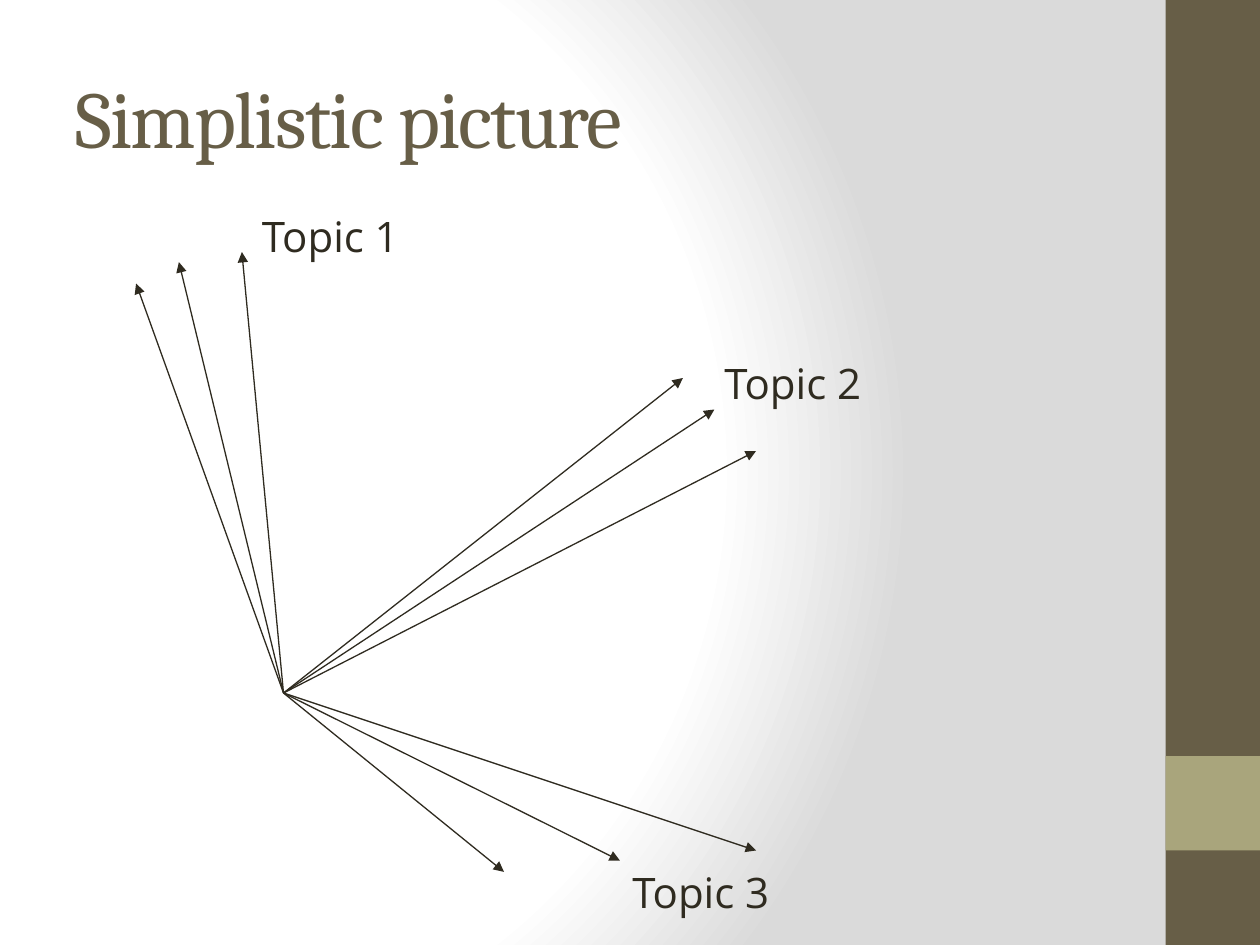
from pptx import Presentation
from pptx.dml.color import RGBColor
from pptx.enum.shapes import MSO_CONNECTOR, MSO_SHAPE
from pptx.enum.text import MSO_ANCHOR, MSO_AUTO_SIZE, PP_ALIGN
from pptx.oxml import parse_xml
from pptx.oxml.ns import nsdecls, qn
from pptx.util import Inches, Pt
from lxml import etree

STRAIGHT = MSO_CONNECTOR.STRAIGHT
RECTANGLE = MSO_SHAPE.RECTANGLE
MIDDLE = MSO_ANCHOR.MIDDLE
LEFT = PP_ALIGN.LEFT
FIT_SHAPE = MSO_AUTO_SIZE.SHAPE_TO_FIT_TEXT

COLORS = {"brown": "675E47", "olive": "A9A57C", "ink": "2F2B20",
          "white": "FFFFFF", "gray": "DADADA"}


def style_text(paragraph, font_name, size, color):
    paragraph.alignment = LEFT
    font = paragraph.runs[0].font
    font.name = font_name
    font.size = Pt(size)
    font.color.rgb = RGBColor.from_string(COLORS[color])


prs = Presentation()
prs.slide_width = Inches(10)
prs.slide_height = Inches(7.5)
slide = prs.slides.add_slide(prs.slide_layouts[5])

# Background: white glow fading to gray
stops = "".join(
    f'<a:gs pos="{percent * 1000}"><a:srgbClr val="{COLORS[color]}"/></a:gs>'
    for percent, color in [(0, "white"), (75, "white"), (100, "gray")])
background = parse_xml(
    f'<p:bg {nsdecls("p", "a")}><p:bgPr><a:gradFill rotWithShape="1">'
    f'<a:gsLst>{stops}</a:gsLst><a:path path="circle">'
    '<a:fillToRect l="20000" t="50000" r="100000" b="50000"/></a:path>'
    '</a:gradFill><a:effectLst/></p:bgPr></p:bg>')
slide.element.cSld.insert(0, background)

# Side band with its accent square
for top, height, color in [(0, 7.5, "brown"), (6, 0.75, "olive")]:
    band = slide.shapes.add_shape(RECTANGLE, Inches(9.25), Inches(top),
                                  Inches(0.75), Inches(height))
    band.shadow.inherit = False
    band.fill.solid()
    band.fill.fore_color.rgb = RGBColor.from_string(COLORS[color])
    band.line.fill.background()

# Title
title = slide.shapes.title
title.left, title.top = Inches(0.5), Inches(0.3)
title.width, title.height = Inches(8.33), Inches(1.25)
title.text_frame.text = "Simplistic picture"
title.text_frame.vertical_anchor = MIDDLE
heading = title.text_frame.paragraphs[0]
style_text(heading, "Cambria", 46, "brown")
heading.runs[0].font._element.set("spc", "-100")

# Topics: label, label position, tips of the arrows from the common origin
origin = (Inches(2.25), Inches(5.5))
topics = [
    ("Topic 1", (1.98, 1.62), [(1.08, 2.25), (1.42, 2.08), (1.92, 2)]),
    ("Topic 2", (5.65, 2.79), [(5.42, 3), (5.67, 3.25), (6, 3.58)]),
    ("Topic 3", (4.92, 6.83), [(4.92, 6.83), (4, 6.92), (6, 6.75)]),
]
for topic, (left, top), tips in topics:
    for x, y in tips:
        arrow = slide.shapes.add_connector(STRAIGHT, *origin, Inches(x), Inches(y))
        arrow.line.color.rgb = RGBColor.from_string(COLORS["ink"])
        arrow.line.width = Pt(0.75)
        etree.SubElement(arrow.line._get_or_add_ln(), qn("a:tailEnd"), type="triangle")
        etree.SubElement(arrow._element.spPr, qn("a:effectLst"))

    label = slide.shapes.add_textbox(Inches(left), Inches(top), Inches(1.41), Inches(0.5))
    label.text_frame.text = topic
    label.text_frame.word_wrap = False
    label.text_frame.auto_size = FIT_SHAPE
    style_text(label.text_frame.paragraphs[0], "Open Sans", 24, "ink")

prs.save("out.pptx")
